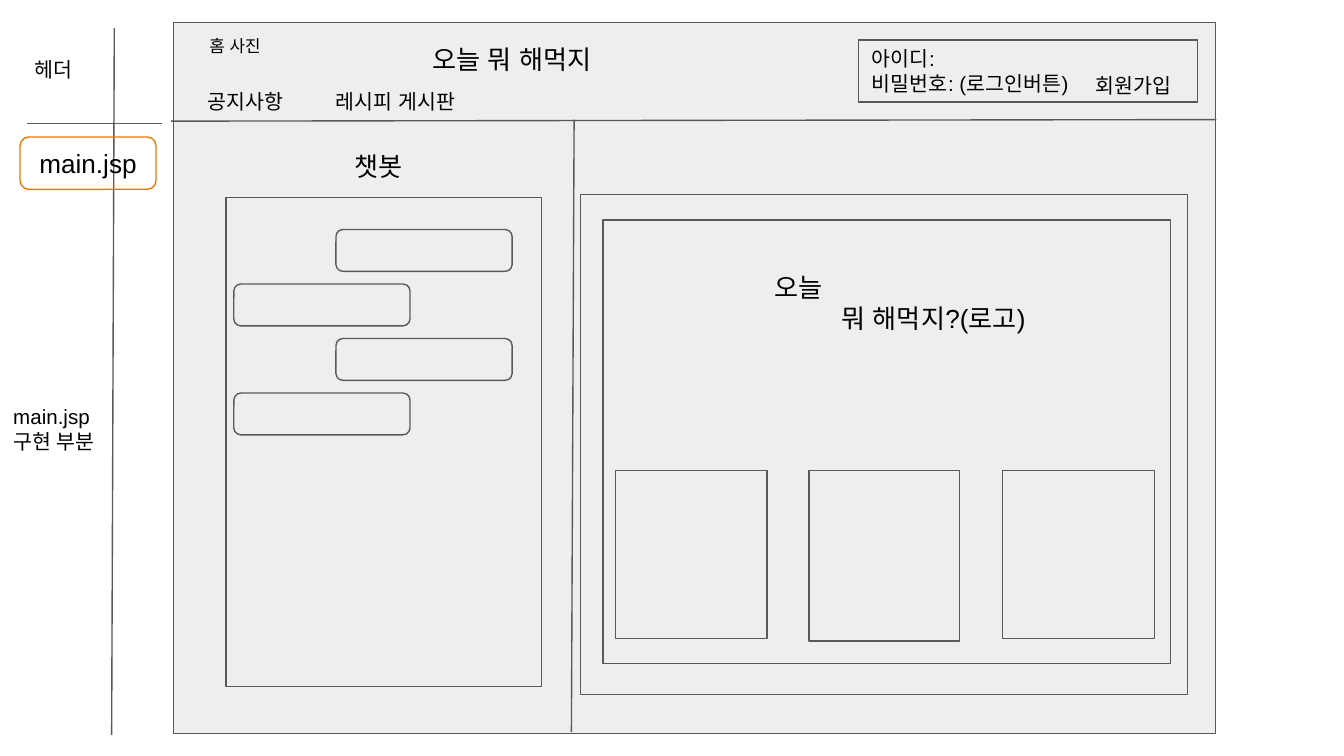
import pptx
import pptx.util
import pptx.dml.color
import pptx.enum.shapes
import pptx.enum.text
import pptx.oxml.ns
import lxml.etree

Cm = pptx.util.Cm
Pt = pptx.util.Pt
Shapes = pptx.enum.shapes.MSO_SHAPE
Align = pptx.enum.text.PP_ALIGN
qn = pptx.oxml.ns.qn

INK, OUTLINE, PANEL, ACCENT = "000000", "595959", "EEEEEE", "E57908"
FONT = "Arial"


def color(value):
    return pptx.dml.color.RGBColor.from_string(value)


def within(box, left, top, width, height):
    return box[0] + left, box[1] + top, width, height


def write(shape, text, size, align=Align.LEFT):
    frame = shape.text_frame
    frame.word_wrap = True
    frame.margin_left = frame.margin_right = Cm(0.25)
    frame.margin_top = frame.margin_bottom = Cm(0.25)
    frame.text = text
    for paragraph in frame.paragraphs:
        paragraph.alignment = align
        for span in paragraph.runs:
            span.font.name = FONT
            span.font.size = Pt(size)
            span.font.color.rgb = color(INK)
            east_asian = lxml.etree.Element(qn("a:ea"), typeface=FONT)
            span.font._element.find(qn("a:latin")).addnext(east_asian)


def add_label(page, box, text, size, align=Align.LEFT):
    label = page.shapes.add_textbox(*map(Cm, box))
    write(label, text, size, align)
    label.text_frame.auto_size = pptx.enum.text.MSO_AUTO_SIZE.SHAPE_TO_FIT_TEXT
    return label


def add_panel(page, box, kind=Shapes.RECTANGLE, fill=PANEL, outline=OUTLINE):
    panel = page.shapes.add_shape(kind, *map(Cm, box))
    panel.shadow.inherit = False
    if fill:
        panel.fill.solid()
        panel.fill.fore_color.rgb = color(fill)
    else:
        panel.fill.background()
    panel.line.color.rgb = color(outline)
    panel.line.width = Pt(0.75)
    panel.text_frame.vertical_anchor = pptx.enum.text.MSO_ANCHOR.MIDDLE
    return panel


def add_rule(page, box, start, end):
    points = [box[0] + start[0], box[1] + start[1], box[0] + end[0], box[1] + end[1]]
    rule = page.shapes.add_connector(
        pptx.enum.shapes.MSO_CONNECTOR.STRAIGHT, *map(Cm, points))
    rule.line.color.rgb = color(OUTLINE)
    rule.line.width = Pt(0.75)
    lxml.etree.SubElement(rule._element.spPr, qn("a:effectLst"))


def build_header(page, box):
    add_label(page, within(box, 1.9, 0.15, 8.99, 1.12), "오늘 뭐 해먹지", 14, Align.CENTER)
    add_label(page, within(box, 0.43, 0.05, 1.6, 0.89), "홈 사진", 9)
    login = add_panel(page, within(box, 12.95, 0.33, 6.4, 1.17))
    write(login, "아이디:\v비밀번호: (로그인버튼)", 11)
    add_label(page, within(box, 0.4, 1.02, 2.18, 0.99), "공지사항", 11)
    add_label(page, within(box, 2.82, 1.02, 3.18, 0.99), "레시피 게시판", 11)
    add_label(page, within(box, 17.17, 0.71, 2.57, 0.99), "회원가입", 11)
    add_rule(page, box, (-0.05, 1.86), (19.71, 1.83))


def build_chatbot(page, box):
    add_label(page, within(box, 2.18, -1.14, 1.6, 1.12), "챗봇", 14)
    add_panel(page, box)
    for index in range(4):
        left = 0.15 if index % 2 else 2.08
        bubble = within(box, left, 0.61 + index * 1.03, 3.33, 0.79)
        add_panel(page, bubble, Shapes.ROUNDED_RECTANGLE)


def build_recipes(page, box):
    add_panel(page, box)
    add_panel(page, within(box, 0.43, 0.48, 10.72, 8.38))
    slogan = add_label(page, within(box, 3.41, 1.2, 7.11, 1.7), "오늘 \n뭐 해먹지?(로고)", 14)
    indented = slogan.text_frame.paragraphs[1]._p.get_or_add_pPr()
    indented.set("marL", "0")
    indented.set("indent", str(Cm(1.27)))
    for index, (width, height) in enumerate([(2.87, 3.18), (2.84, 3.23), (2.87, 3.18)]):
        add_panel(page, within(box, 0.66 + index * 3.66, 5.21, width, height))


def build_sidebar(page, box):
    add_rule(page, box, (2.16, 0.1), (2.11, 13.46))
    add_rule(page, box, (0.51, 1.91), (3.07, 1.91))
    add_label(page, within(box, 0.41, 0.41, 1.42, 0.99), "헤더", 11)
    add_label(page, within(box, 0, 6.96, 2.18, 1.45), "main.jsp 구현 부분", 11)
    tag = add_panel(page, within(box, 0.38, 2.16, 2.57, 0.99),
                    Shapes.ROUNDED_RECTANGLE, None, ACCENT)
    write(tag, "main.jsp", 14, Align.CENTER)


def build_wireframe(page, box):
    add_panel(page, box)
    build_header(page, within(box, 0, 0, 19.69, 1.85))
    build_recipes(page, within(box, 7.69, 3.25, 11.48, 9.45))
    add_rule(page, box, (7.52, 13.41), (7.57, 1.83))
    build_chatbot(page, within(box, 0.99, 3.3, 5.97, 9.25))


deck = pptx.Presentation()
deck.slide_width, deck.slide_height = Cm(25.4), Cm(14.29)
page = deck.slides.add_slide(deck.slide_layouts[6])
build_wireframe(page, (3.28, 0.43, 19.69, 13.44))
build_sidebar(page, (0, 0.43, 3.28, 13.44))
deck.save("out.pptx")
